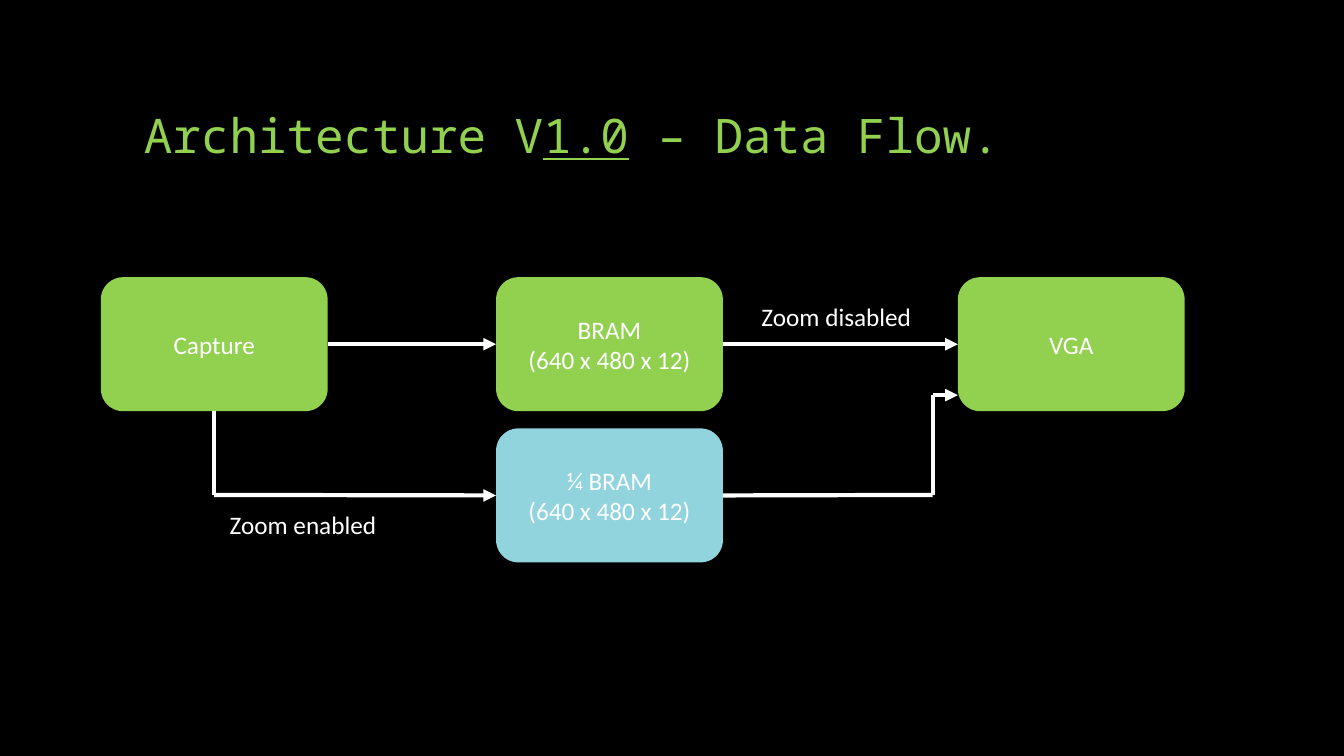
"""Build the Architecture V1.0 data flow slide."""
from lxml import etree
from pptx import Presentation
from pptx.dml.color import RGBColor
from pptx.enum.shapes import MSO_CONNECTOR, MSO_SHAPE
from pptx.enum.text import MSO_ANCHOR, PP_ALIGN
from pptx.oxml.ns import qn
from pptx.util import Inches, Pt

BLACK = RGBColor(0x00, 0x00, 0x00)
WHITE = RGBColor(0xFF, 0xFF, 0xFF)
GREEN = RGBColor(0x92, 0xD0, 0x50)
BLUE = RGBColor(0x91, 0xD4, 0xDD)
ROUNDED = MSO_SHAPE.ROUNDED_RECTANGLE
STRAIGHT = MSO_CONNECTOR.STRAIGHT
CENTER = PP_ALIGN.CENTER
MIDDLE = MSO_ANCHOR.MIDDLE
BOTTOM = MSO_ANCHOR.BOTTOM

BLOCK_W, BLOCK_H = 2.25, 1.33
CAPTURE_X, BRAM_X, VGA_X = 1, 4.92, 9.5
TOP_ROW, ZOOM_ROW = 2.75, 4.25
CAPTURE_RIGHT = CAPTURE_X + BLOCK_W
CAPTURE_MID = CAPTURE_X + BLOCK_W / 2
BRAM_RIGHT = BRAM_X + BLOCK_W
TOP_MID = TOP_ROW + BLOCK_H / 2
ZOOM_MID = ZOOM_ROW + BLOCK_H / 2
ZOOM_BEND = 4.91
VGA_BEND, VGA_ENTRY = 9.25, 3.92


def write_centered(frame, text):
    """Fill a text frame with centred white body text."""
    frame.word_wrap = True
    frame.text = text
    for paragraph in frame.paragraphs:
        paragraph.alignment = CENTER
        paragraph.font.name = "Calibri"
        paragraph.font.size = Pt(18)
        paragraph.font.color.rgb = WHITE


prs = Presentation()
prs.slide_width = Inches(13.33)
prs.slide_height = Inches(7.5)
slide = prs.slides.add_slide(prs.slide_layouts[6])
slide.background.fill.solid()
slide.background.fill.fore_color.rgb = BLACK

blocks = [
    ("Capture", CAPTURE_X, TOP_ROW, GREEN),
    ("VGA", VGA_X, TOP_ROW, GREEN),
    ("BRAM\n(640 x 480 x 12)", BRAM_X, TOP_ROW, GREEN),
    ("¼ BRAM\n(640 x 480 x 12)", BRAM_X, ZOOM_ROW, BLUE),
]
for text, left, top, color in blocks:
    block = slide.shapes.add_shape(
        ROUNDED, Inches(left), Inches(top), Inches(BLOCK_W), Inches(BLOCK_H))
    block.shadow.inherit = False
    block.fill.solid()
    block.fill.fore_color.rgb = color
    block.line.fill.background()
    block.text_frame.vertical_anchor = MIDDLE
    write_centered(block.text_frame, text)

flows = [
    (CAPTURE_RIGHT, TOP_MID, BRAM_X, TOP_MID, True),
    (BRAM_RIGHT, TOP_MID, VGA_X, TOP_MID, True),
    (VGA_BEND, VGA_ENTRY, VGA_X, VGA_ENTRY, True),
    (CAPTURE_MID, ZOOM_BEND, BRAM_X, ZOOM_MID, True),
    (CAPTURE_MID, TOP_ROW + BLOCK_H, CAPTURE_MID, ZOOM_BEND, False),
    (VGA_BEND, VGA_ENTRY, VGA_BEND, ZOOM_MID, False),
    (VGA_BEND, ZOOM_BEND, BRAM_RIGHT, ZOOM_MID, False),
]
for x1, y1, x2, y2, has_arrow in flows:
    flow = slide.shapes.add_connector(
        STRAIGHT, Inches(x1), Inches(y1), Inches(x2), Inches(y2))
    flow.line.color.rgb = WHITE
    flow.line.width = Pt(3)
    if has_arrow:
        etree.SubElement(flow.line._get_or_add_ln(), qn("a:tailEnd"), type="triangle")
    etree.SubElement(flow._element.spPr, qn("a:effectLst"))

for text, left, top in [("Zoom disabled", 4.96, 2.94), ("Zoom enabled", -0.33, 5)]:
    label = slide.shapes.add_textbox(
        Inches(left), Inches(top), Inches(6.67), Inches(0.71))
    write_centered(label.text_frame, text)

title = slide.shapes.add_textbox(
    Inches(1.33), Inches(0.42), Inches(10.33), Inches(1.25)).text_frame
title.word_wrap = True
title.vertical_anchor = BOTTOM
heading = title.paragraphs[0]
heading.line_spacing = 0.9
for text, underlined in [("Architecture V", False), ("1.0", True), (" – Data Flow.", False)]:
    run = heading.add_run()
    run.text = text
    run.font.name = "Noto Sans Mono"
    run.font.size = Pt(34)
    run.font.color.rgb = GREEN
    run.font.underline = underlined

prs.save("out.pptx")
